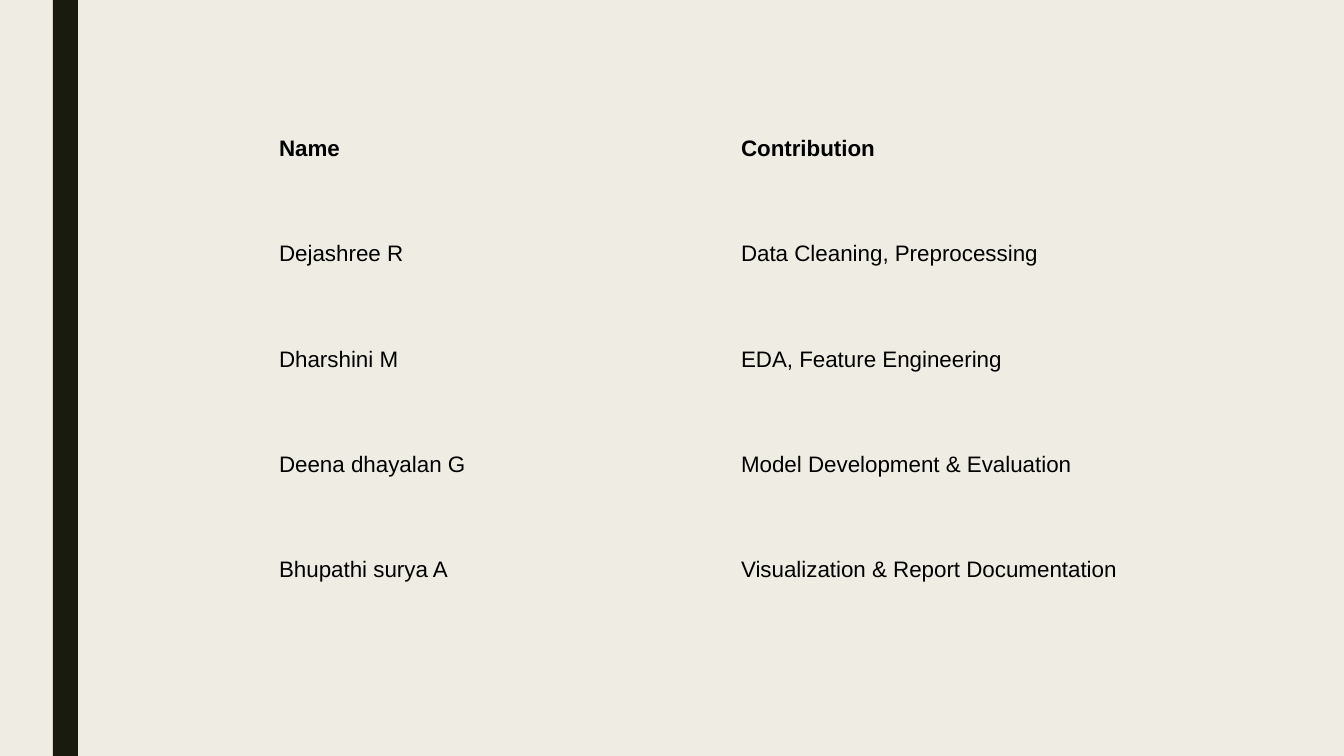
from pptx import Presentation
from pptx.dml.color import RGBColor as Color
from pptx.enum.shapes import MSO_SHAPE as Kind
from pptx.enum.text import MSO_ANCHOR as Anchor
from pptx.oxml.ns import qn
from pptx.util import Pt

ROWS = [
    ("Name", "Contribution"),
    ("Dejashree R", "Data Cleaning, Preprocessing"),
    ("Dharshini M", "EDA, Feature Engineering"),
    ("Deena dhayalan G", "Model Development & Evaluation"),
    ("Bhupathi surya A", "Visualization & Report Documentation"),
]
WIDTH, HEIGHT = 1344, 756
BAR = (53, 0, 25, HEIGHT)
TABLE = (269, 96, 924, 527)
CREAM = Color(0xEF, 0xED, 0xE3)
DARK = Color(0x19, 0x1B, 0x0E)
BLACK = Color(0, 0, 0)
NO_GRID = "{2D5ABB26-0587-4C30-8999-92F81FD0307C}"


def px(size):
    return round(size * 914400 / 100.8)


def add_bar(slide):
    bar = slide.shapes.add_shape(Kind.RECTANGLE, *map(px, BAR))
    bar.shadow.inherit = False
    bar.fill.solid()
    bar.fill.fore_color.rgb = DARK
    bar.line.fill.background()


def add_grid(slide):
    frame = slide.shapes.add_table(len(ROWS), len(ROWS[0]), *map(px, TABLE))
    table = frame.table
    table.first_row = table.horz_banding = False
    table._tbl.tblPr.find(qn("a:tableStyleId")).text = NO_GRID
    for row, texts in enumerate(ROWS):
        for col, text in enumerate(texts):
            cell = table.cell(row, col)
            cell.fill.background()
            cell.vertical_anchor = Anchor.MIDDLE
            cell.text_frame.text = text
            font = cell.text_frame.paragraphs[0].runs[0].font
            font.name = "Arial"
            font.size = Pt(16)
            font.bold = row == 0
            font.color.rgb = BLACK


def main():
    deck = Presentation()
    deck.slide_width, deck.slide_height = px(WIDTH), px(HEIGHT)
    slide = deck.slides.add_slide(deck.slide_layouts[6])
    slide.background.fill.solid()
    slide.background.fill.fore_color.rgb = CREAM
    add_bar(slide)
    add_grid(slide)
    deck.save("out.pptx")


if __name__ == "__main__":
    main()
